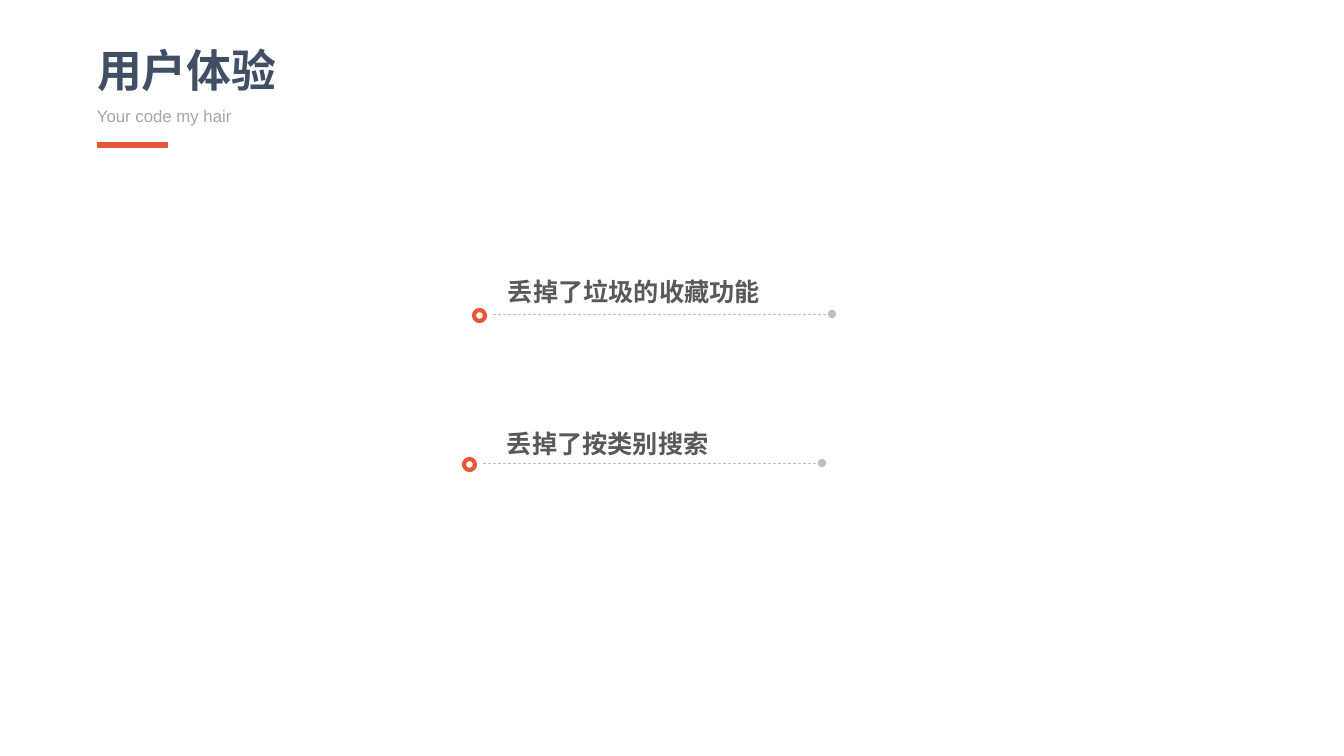
"""Build the user experience slide with two marked headings."""
import dataclasses
import typing

import pptx
import pptx.dml.color
import pptx.enum.dml
import pptx.enum.shapes
import pptx.enum.text
import pptx.oxml
import pptx.oxml.ns
import pptx.util

PX_PER_INCH = 100.8
SLATE = pptx.dml.color.RGBColor(0x40, 0x4F, 0x64)
ORANGE = pptx.dml.color.RGBColor(0xE5, 0x58, 0x3A)
DARK_GRAY = pptx.dml.color.RGBColor(0x59, 0x59, 0x59)
GRAY = pptx.dml.color.RGBColor(0xA6, 0xA6, 0xA6)
LIGHT_GRAY = pptx.dml.color.RGBColor(0xBF, 0xBF, 0xBF)
WHITE = pptx.dml.color.RGBColor(0xFF, 0xFF, 0xFF)

TITLE_FORMAT = {"name": "Arial", "size": pptx.util.Pt(32), "bold": True}
SUBTITLE_FORMAT = {"name": "Arial", "size": pptx.util.Pt(12), "bold": False}
HEADING_FORMAT = {"name": "Arial", "size": pptx.util.Pt(18), "bold": True}

RING_SIZE = 11
HEADING_HEIGHT = 46


@dataclasses.dataclass(frozen=True)
class Box:
    left: int
    top: int
    width: int
    height: int


@dataclasses.dataclass(frozen=True)
class Item:
    text: str
    box: Box
    ring_left: int
    line_left: int
    line_right: int
    line_y: int


ITEMS = (
    Item("丢掉了垃圾的收藏功能", Box(498, 265, 302, HEADING_HEIGHT), 474, 493, 832, 314),
    Item("丢掉了按类别搜索", Box(497, 417, 247, HEADING_HEIGHT), 464, 483, 822, 463),
)


def px(n: int) -> pptx.util.Emu:
    return pptx.util.Emu(round(n * 914400 / PX_PER_INCH))


def place(box: Box) -> tuple[pptx.util.Emu, ...]:
    return px(box.left), px(box.top), px(box.width), px(box.height)


def write(
    sp: typing.Any,
    text: str,
    values: dict[str, typing.Any],
    color: pptx.dml.color.RGBColor,
    wrap: bool = True,
    spacing: float = 1.0,
) -> None:
    tf = sp.text_frame
    tf.word_wrap = wrap
    tf.auto_size = pptx.enum.text.MSO_AUTO_SIZE.SHAPE_TO_FIT_TEXT
    tf.vertical_anchor = pptx.enum.text.MSO_ANCHOR.TOP
    p = tf.paragraphs[0]
    p.alignment = pptx.enum.text.PP_ALIGN.LEFT
    p.line_spacing = spacing
    r = p.add_run()
    r.text = text
    for name, value in values.items():
        setattr(r.font, name, value)
    r.font.color.rgb = color


def add_line(
    shapes: typing.Any,
    left: int,
    right: int,
    y: int,
    color: pptx.dml.color.RGBColor,
    width: float,
) -> typing.Any:
    line = shapes.add_connector(
        pptx.enum.shapes.MSO_CONNECTOR.STRAIGHT, px(left), px(y), px(right), px(y)
    )
    line.line.color.rgb = color
    line.line.width = pptx.util.Pt(width)
    sp_pr = line._element.spPr
    sp_pr.append(pptx.oxml.parse_xml(f"<a:effectLst {pptx.oxml.ns.nsdecls('a')}/>"))
    return line


def add_item(slide: typing.Any, item: Item) -> None:
    shapes = slide.shapes.add_group_shape().shapes
    line = add_line(shapes, item.line_left, item.line_right, item.line_y, LIGHT_GRAY, 0.5)
    line.line.dash_style = pptx.enum.dml.MSO_LINE.DASH
    tail = pptx.oxml.parse_xml(f"<a:tailEnd {pptx.oxml.ns.nsdecls('a')} type='oval'/>")
    line.line._get_or_add_ln().append(tail)

    ring_box = Box(item.ring_left, item.line_y - 4, RING_SIZE, RING_SIZE)
    ring = shapes.add_shape(pptx.enum.shapes.MSO_SHAPE.OVAL, *place(ring_box))
    ring.shadow.inherit = False
    ring.fill.solid()
    ring.fill.fore_color.rgb = WHITE
    ring.line.color.rgb = ORANGE
    ring.line.width = pptx.util.Pt(3)

    heading = shapes.add_textbox(*place(item.box))
    write(heading, item.text, HEADING_FORMAT, DARK_GRAY, spacing=1.2)


def main() -> None:
    prs = pptx.Presentation()
    prs.slide_width, prs.slide_height = px(1344), px(756)
    s = prs.slides.add_slide(prs.slide_layouts.get_by_name("Title Only"))

    title = s.shapes.title
    title.left, title.top, title.width, title.height = place(Box(87, 38, 202, 65))
    write(title, "用户体验", TITLE_FORMAT, SLATE, wrap=False)

    subtitle = s.shapes.add_textbox(*place(Box(87, 101, 533, 30)))
    write(subtitle, "Your code my hair", SUBTITLE_FORMAT, GRAY)
    add_line(s.shapes, 97, 168, 145, ORANGE, 4.5)

    for item in ITEMS:
        add_item(s, item)
    prs.save("out.pptx")


if __name__ == "__main__":
    main()
